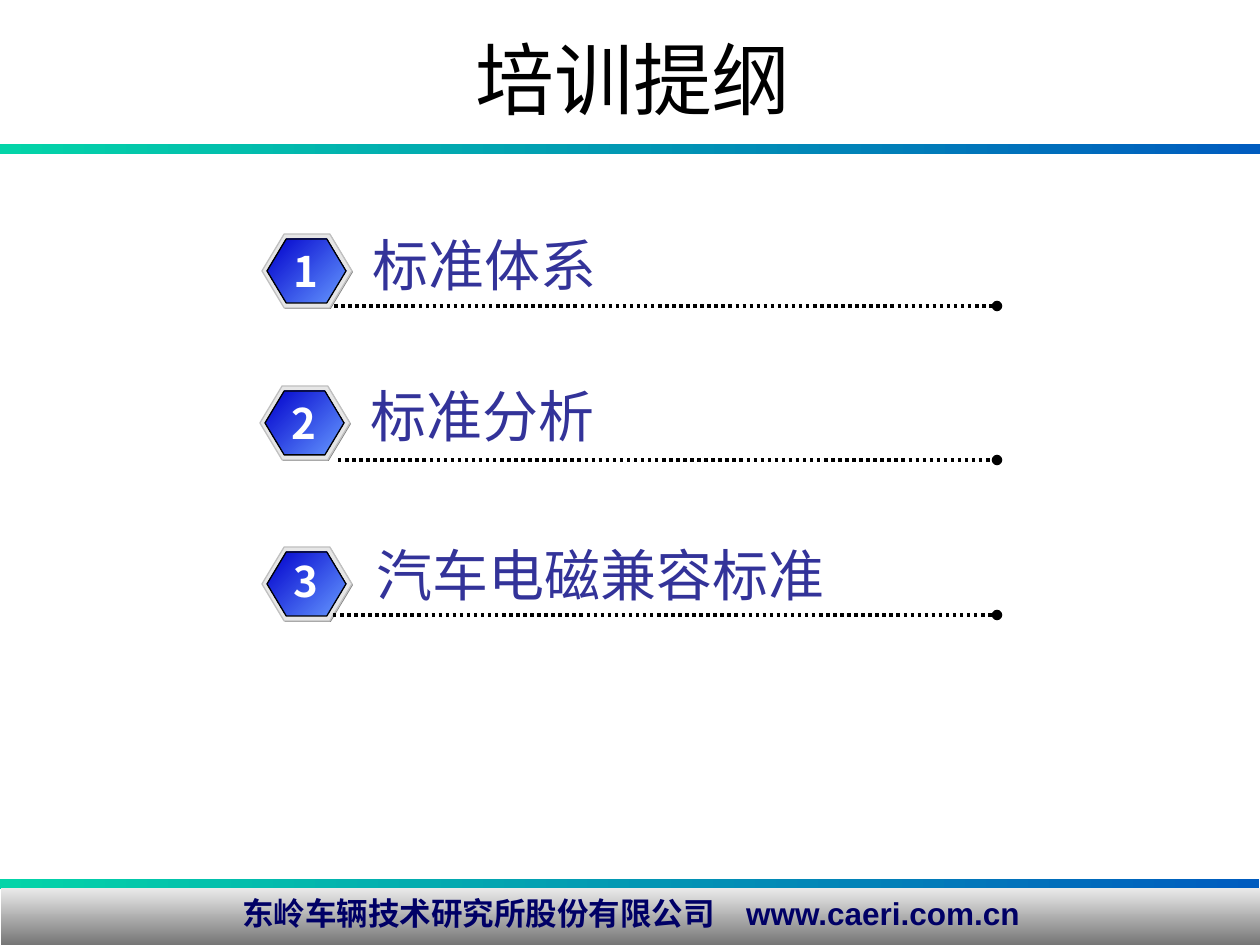
from dataclasses import dataclass

from lxml import etree
from pptx import Presentation
from pptx.dml.color import RGBColor
from pptx.enum.dml import MSO_LINE
from pptx.enum.shapes import MSO_CONNECTOR, MSO_SHAPE
from pptx.enum.text import MSO_ANCHOR, PP_ALIGN
from pptx.oxml.ns import qn
from pptx.util import Pt

PX = 914400 / 126
RECTANGLE = MSO_SHAPE.RECTANGLE
HEXAGON = MSO_SHAPE.HEXAGON
STRAIGHT = MSO_CONNECTOR.STRAIGHT
DOTTED = MSO_LINE.ROUND_DOT
LEFT, CENTER = PP_ALIGN.LEFT, PP_ALIGN.CENTER
TOP, MIDDLE = MSO_ANCHOR.TOP, MSO_ANCHOR.MIDDLE


def emu(px):
    return round(px * PX)


@dataclass(frozen=True)
class Theme:
    cjk: str = "Noto Sans CJK SC"
    latin: str = "Arial"
    ink: str = "000000"
    label: str = "333399"
    number: str = "FFFFFF"
    footer: str = "000066"
    shade: str = "808080"
    rim: str = "E6E6E6"
    rim_edge: str = "C0C0C0"
    band: tuple = ("03D4A8", "005CBF")
    footer_band: tuple = ("EAEAEA", "6C6C6C")
    badge: tuple = ("0000CC", "6699FF")
    title_size: int = 45
    label_size: int = 32
    number_size: int = 24
    footer_size: int = 18
    edge_width: float = 0.75
    rule_width: int = 2


class OutlinePage:
    """Draws the elements of an outline page in one theme."""

    def __init__(self, page, theme):
        self.page = page
        self.theme = theme

    def shape(self, kind, frame, fill, angle=0, edge=None):
        shape = self.page.shapes.add_shape(kind, *map(emu, frame))
        shape.shadow.inherit = False
        if isinstance(fill, tuple):
            shape.fill.gradient()
            shape.fill.gradient_angle = -angle % 360
            for stop, color, position in zip(shape.fill.gradient_stops, fill, (0, 1)):
                stop.color.rgb = RGBColor.from_string(color)
                stop.position = position
        else:
            shape.fill.solid()
            shape.fill.fore_color.rgb = RGBColor.from_string(fill)
        if edge:
            shape.line.color.rgb = RGBColor.from_string(edge)
            shape.line.width = Pt(self.theme.edge_width)
        else:
            shape.line.fill.background()
        return shape

    def set_text(self, box, text, size, color, font, align=LEFT, anchor=TOP, bold=False, wrap=True):
        frame = box.text_frame
        frame.word_wrap = wrap
        frame.vertical_anchor = anchor
        para = frame.paragraphs[0]
        para.text = text
        para.alignment = align
        para.font.size = Pt(size)
        para.font.bold = bold
        para.font.color.rgb = RGBColor.from_string(color)
        para.font.name = font
        defaults = para._p.pPr.find(qn("a:defRPr"))
        etree.SubElement(defaults, qn("a:ea"), typeface=self.theme.cjk)

    def text(self, frame, text, size, color, **options):
        box = self.page.shapes.add_textbox(*map(emu, frame))
        self.set_text(box, text, size, color, self.theme.cjk, **options)

    def band(self, top, width):
        self.shape(RECTANGLE, (0, top, width, 10), self.theme.band)

    def footer(self, frame, text):
        theme = self.theme
        box = self.shape(RECTANGLE, frame, theme.footer_band, angle=90)
        self.set_text(box, text, theme.footer_size, theme.footer, theme.latin,
                      align=CENTER, bold=True)

    def badge(self, left, top, number, number_drop):
        theme = self.theme
        layers = (
            ((left + 1, top + 1, 90, 74), theme.shade, None),
            ((left, top, 90, 74), theme.rim, theme.rim_edge),
            ((left + 5, top + 5, 79, 64), theme.badge, theme.ink),
        )
        for frame, fill, edge in layers:
            hexagon = self.shape(HEXAGON, frame, fill, angle=45, edge=edge)
            hexagon.adjustments[0] = 0.3
        self.text((left + 19, top + number_drop, 49, 63), str(number), theme.number_size,
                  theme.number, align=CENTER, bold=True, wrap=False)

    def rule(self, start, end, y):
        rule = self.page.shapes.add_connector(STRAIGHT, *map(emu, (start, y, end, y)))
        rule.line.color.rgb = RGBColor.from_string(self.theme.ink)
        rule.line.width = Pt(self.theme.rule_width)
        rule.line.dash_style = DOTTED
        properties = rule._element.spPr
        etree.SubElement(properties.find(qn("a:ln")), qn("a:tailEnd"), type="oval")
        etree.SubElement(properties, qn("a:effectLst"))


def main():
    theme = Theme()
    deck = Presentation()
    deck.slide_width, deck.slide_height = emu(1260), emu(945)
    outline = OutlinePage(deck.slides.add_slide(deck.slide_layouts[6]), theme)

    outline.band(879, 1259)
    outline.band(144, 1260)
    outline.footer((1, 888, 1260, 62), "东岭车辆技术研究所股份有限公司　www.caeri.com.cn")
    outline.text((20, 20, 1226, 116), "培训提纲", theme.title_size, theme.ink,
                 align=CENTER, anchor=MIDDLE)

    topics = (
        ("标准体系", (262, 234), 5, (360, 224), (334, 306)),
        ("标准分析", (260, 386), 5, (358, 375), (338, 460)),
        ("汽车电磁兼容标准", (262, 547), 2, (364, 534), (333, 615)),
    )
    for number, (topic, badge, drop, label, rule) in enumerate(topics, 1):
        outline.badge(*badge, number, drop)
        outline.rule(rule[0], 997, rule[1])
        outline.text((*label, 524, 81), topic, theme.label_size, theme.label)

    deck.save("out.pptx")


if __name__ == "__main__":
    main()
